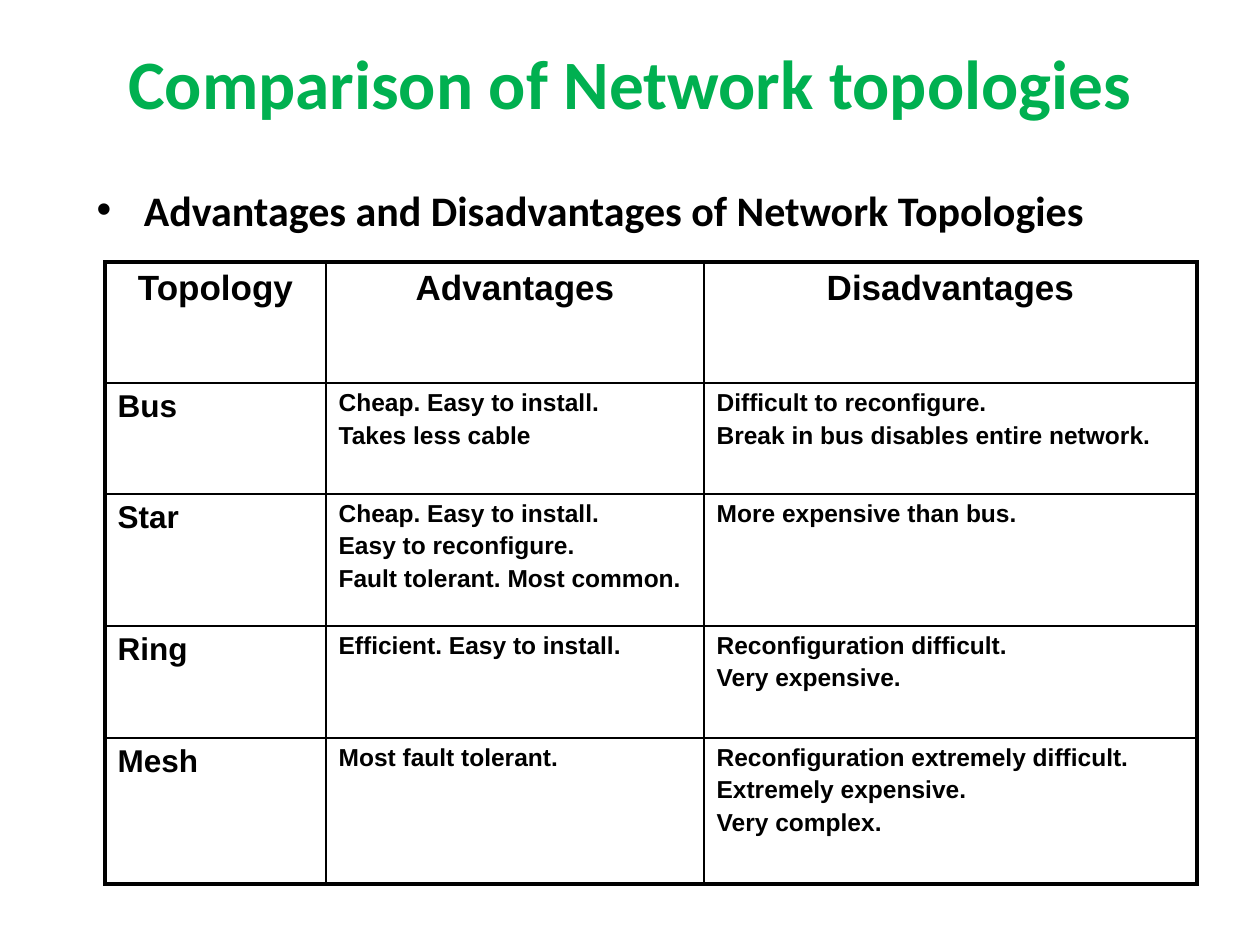
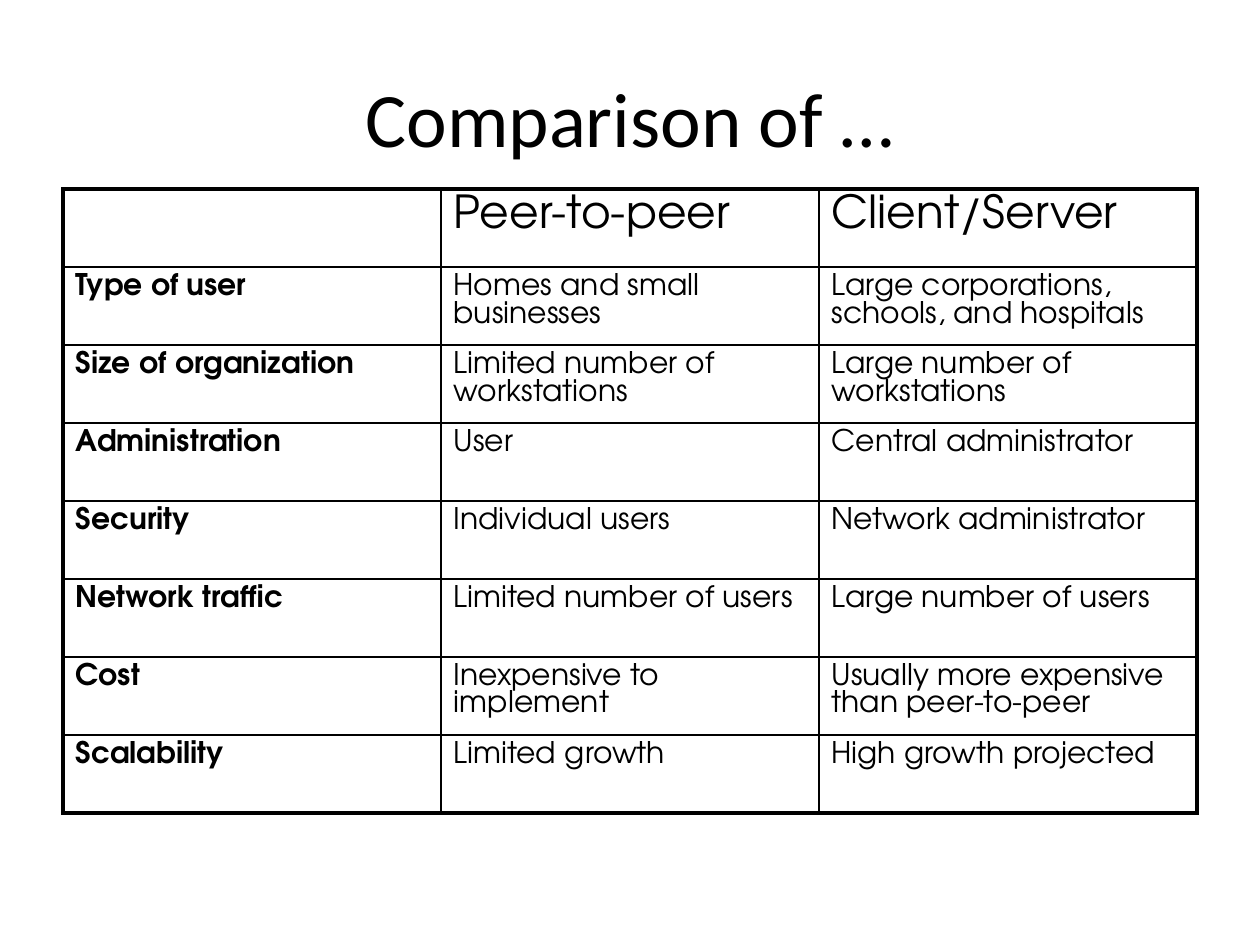
"""Build two slides that compare network types in bordered tables."""
from dataclasses import dataclass
from typing import Optional

import pptx
import pptx.dml.color
import pptx.enum.text
import pptx.oxml.ns
import pptx.util
from lxml import etree

RGB = pptx.dml.color.RGBColor
ALIGN = pptx.enum.text.PP_ALIGN
TITLE_AND_BODY, TITLE_ONLY = 1, 5  # layouts of the default template


@dataclass(frozen=True)
class Theme:
    """Colours, fonts, type sizes and line widths of the deck, in points."""
    ink: str = "000000"
    accent: str = "00B050"
    heading_font: str = "Calibri"
    table_font: str = "Arial"
    round_font: str = "TeX Gyre Adventor"
    accent_title_size: float = 39.6
    title_size: float = 44
    body_size: float = 24
    outer_line: float = 2.25
    inner_line: float = 1
    space_share: float = 0.2  # space before a paragraph, as a share of its size


@dataclass(frozen=True)
class Box:
    """A rectangle in pixels."""
    left: int
    top: int
    width: int
    height: int


@dataclass(frozen=True)
class TextStyle:
    """How a paragraph looks."""
    font: str
    size: float
    bold: bool = False
    color: str = Theme.ink
    align: Optional[ALIGN] = None


@dataclass(frozen=True)
class Grid:
    """A table: its corner, track sizes in pixels, styles and cell text."""
    left: int
    top: int
    columns: tuple[int, ...]
    rows: tuple[int, ...]
    header: TextStyle
    label: TextStyle
    entry: TextStyle
    text: tuple[tuple[str, ...], ...]


THEME = Theme()

TOPOLOGIES = Grid(
    left=105, top=262, columns=(221, 378, 493), rows=(121, 111, 132, 112, 146),
    header=TextStyle(THEME.table_font, 20, bold=True, align=ALIGN.CENTER),
    label=TextStyle(THEME.table_font, 18, bold=True),
    entry=TextStyle(THEME.table_font, 14, bold=True),
    text=(
        ("Topology", "Advantages", "Disadvantages"),
        ("Bus", "Cheap. Easy to install.\nTakes less cable",
         "Difficult to reconfigure.\nBreak in bus disables entire network."),
        ("Star", "Cheap. Easy to install.\nEasy to reconfigure.\n"
         "Fault tolerant. Most common.", "More expensive than bus."),
        ("Ring", "Efficient. Easy to install.",
         "Reconfiguration difficult.\nVery expensive."),
        ("Mesh", "Most fault tolerant.",
         "Reconfiguration extremely difficult.\nExtremely expensive.\n"
         "Very complex."),
    ))

NETWORK_MODELS = Grid(
    left=63, top=189, columns=(378,) * 3, rows=(78,) * 8,
    header=TextStyle(THEME.round_font, 26),
    label=TextStyle(THEME.round_font, 17, bold=True),
    entry=TextStyle(THEME.round_font, 17),
    text=(
        ("", "Peer-to-peer", "Client/Server"),
        ("Type of user", "Homes and small businesses",
         "Large corporations, schools, and hospitals"),
        ("Size of organization", "Limited number of workstations",
         "Large number of workstations"),
        ("Administration", "User", "Central administrator"),
        ("Security", "Individual users", "Network administrator"),
        ("Network traffic", "Limited number of users",
         "Large number of users"),
        ("Cost", "Inexpensive to implement",
         "Usually more expensive than peer-to-peer"),
        ("Scalability", "Limited growth", "High growth projected"),
    ))


def px(pixels: int) -> int:
    """Turn pixels into EMU."""
    return pptx.util.Emu(pixels * 914400 // 126)


def style_paragraph(p, style: TextStyle) -> None:
    """Apply a text style to a whole paragraph."""
    p.font.name = style.font
    p.font.size = pptx.util.Pt(style.size)
    p.font.bold = style.bold
    p.font.color.rgb = RGB.from_string(style.color)
    if style.align is not None:
        p.alignment = style.align


def fill_placeholder(sp, box: Box, text: str, style: TextStyle) -> None:
    """Move a placeholder and give it one styled paragraph."""
    sp.left, sp.top = px(box.left), px(box.top)
    sp.width, sp.height = px(box.width), px(box.height)
    tf = sp.text_frame
    tf.auto_size = pptx.enum.text.MSO_AUTO_SIZE.NONE
    tf.text = text
    style_paragraph(tf.paragraphs[0], style)


def add_border(cell, side: str, width: float) -> None:
    """Draw one side (L, R, T or B) of a cell."""
    qn = pptx.oxml.ns.qn
    ln = etree.SubElement(cell._tc.get_or_add_tcPr(), qn(f"a:ln{side}"),
                          w=str(int(pptx.util.Pt(width))))
    fill = etree.SubElement(ln, qn("a:solidFill"))
    etree.SubElement(fill, qn("a:srgbClr"), val=THEME.ink)


def fill_cell(cell, text: str, style: TextStyle) -> None:
    """Write each line of text as its own paragraph."""
    tf = cell.text_frame
    tf.text = text
    for p in tf.paragraphs:
        style_paragraph(p, style)
        p.space_before = pptx.util.Pt(round(style.size * THEME.space_share, 1))


def add_grid(s, grid: Grid) -> None:
    """Add a table with a heavy frame and thin inner lines."""
    n_rows, n_cols = len(grid.rows), len(grid.columns)
    table = s.shapes.add_table(
        n_rows, n_cols, px(grid.left), px(grid.top),
        px(sum(grid.columns)), px(sum(grid.rows))).table
    table.first_row = table.horz_banding = False
    for column, width in zip(table.columns, grid.columns):
        column.width = px(width)
    for row, height in zip(table.rows, grid.rows):
        row.height = px(height)
    for i, line in enumerate(grid.text):
        for j, text in enumerate(line):
            cell = table.cell(i, j)
            style = grid.header if i == 0 else grid.label if j == 0 else grid.entry
            fill_cell(cell, text, style)
            on_frame = {"L": j == 0, "R": j == n_cols - 1,
                        "T": i == 0, "B": i == n_rows - 1}
            for side, outer in on_frame.items():
                add_border(cell, side,
                           THEME.outer_line if outer else THEME.inner_line)
            cell.fill.background()


def add_slide(prs, layout: int, box: Box, title: str, size: float,
              bold: bool = False, color: str = THEME.ink):
    """Add a slide with its centred title."""
    s = prs.slides.add_slide(prs.slide_layouts[layout])
    fill_placeholder(s.shapes.title, box, title, TextStyle(
        THEME.heading_font, size, bold, color, ALIGN.CENTER))
    return s


def main() -> None:
    """Build and save the deck."""
    prs = pptx.Presentation()
    prs.slide_width, prs.slide_height = px(1260), px(945)

    s = add_slide(prs, TITLE_AND_BODY, Box(63, 21, 1134, 122),
                  "Comparison of Network topologies",
                  THEME.accent_title_size, True, THEME.accent)
    fill_placeholder(s.placeholders[1], Box(84, 178, 1092, 609),
                     "Advantages and Disadvantages of Network Topologies",
                     TextStyle(THEME.heading_font, THEME.body_size, bold=True))
    add_grid(s, TOPOLOGIES)

    s = add_slide(prs, TITLE_ONLY, Box(63, 38, 1134, 158), "Comparison of …",
                  THEME.title_size)
    add_grid(s, NETWORK_MODELS)

    prs.save("out.pptx")


main()
